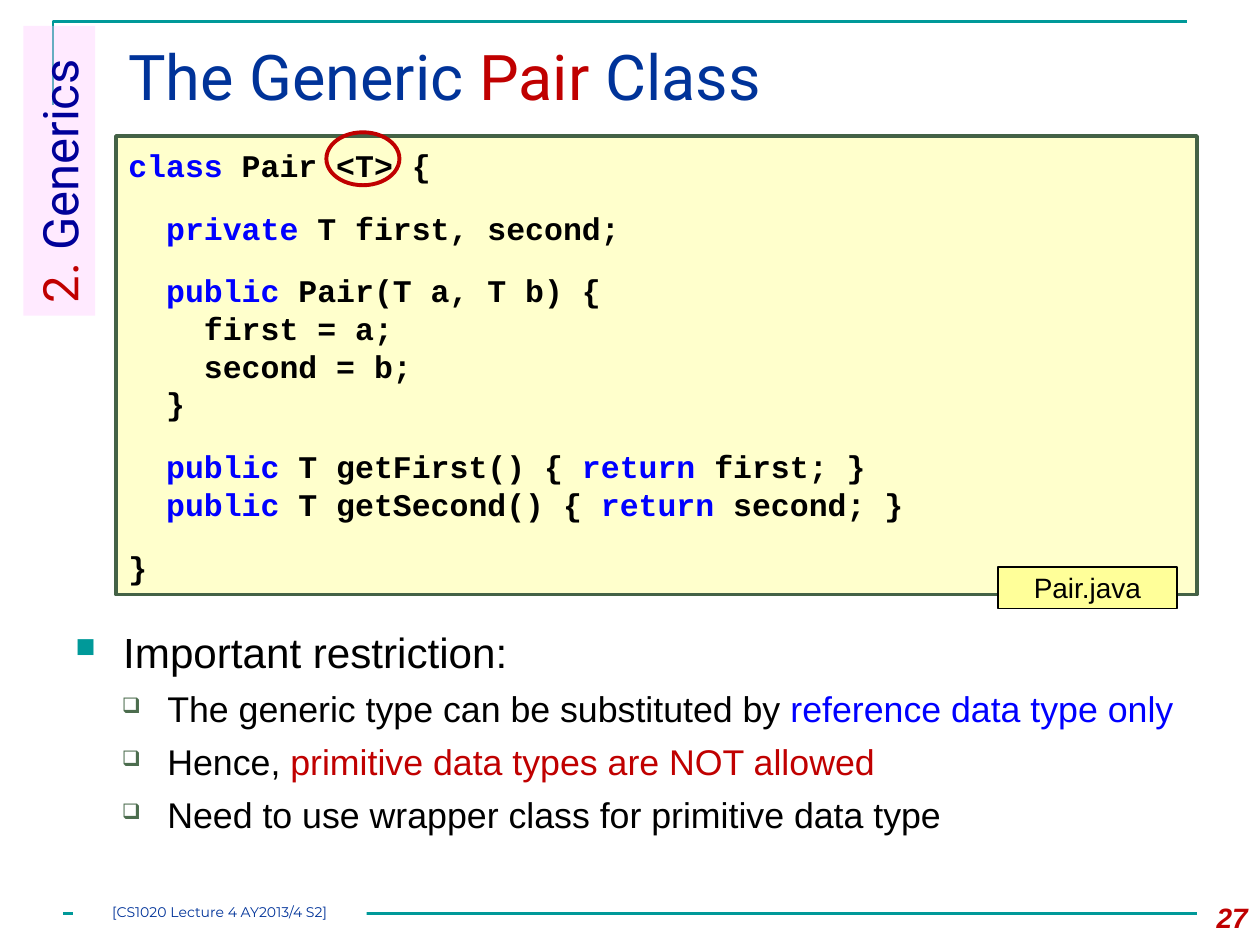
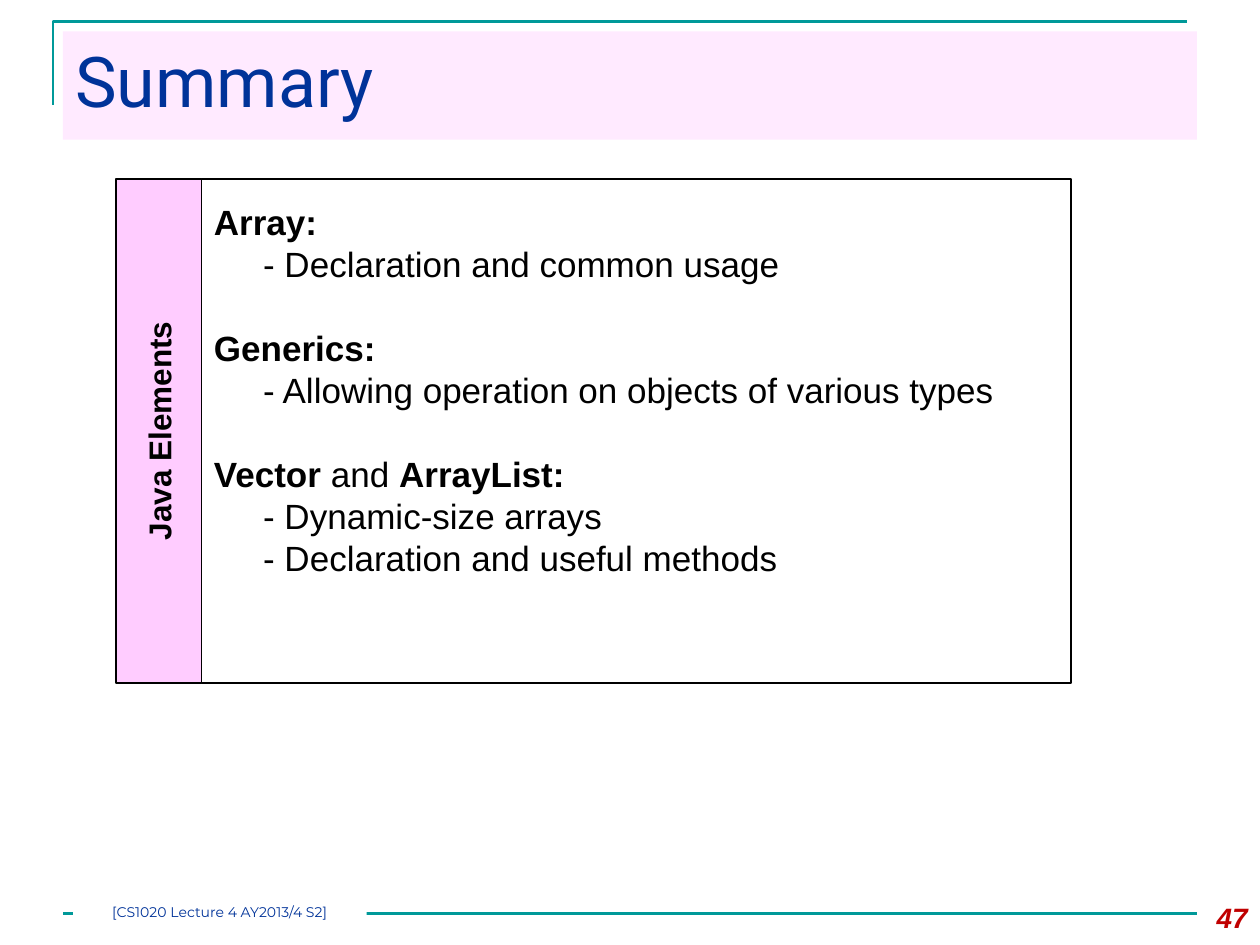
from dataclasses import dataclass
from typing import NamedTuple, Optional

from lxml.etree import SubElement
from pptx import Presentation
from pptx.dml.color import RGBColor
from pptx.enum.shapes import MSO_CONNECTOR, MSO_SHAPE
from pptx.enum.text import MSO_ANCHOR, PP_ALIGN
from pptx.oxml.ns import qn
from pptx.util import Inches, Pt


@dataclass(frozen=True)
class Theme:
    teal: str = "009999"
    navy: str = "003399"
    red: str = "C00000"
    blue: str = "0000FF"
    section_blue: str = "000099"
    black: str = "000000"
    white: str = "FFFFFF"
    pink: str = "FFCCFF"
    code_fill: str = "FFFFCC"
    code_edge: str = "446246"
    label_fill: str = "FFFF99"
    sub_bullet: str = "4C6D4E"
    heading_font: str = "Roboto"
    body_font: str = "Arial"
    code_font: str = "Courier New"
    footer_font: str = "Montserrat"
    footer_size: float = 8
    small_size: float = 16
    code_size: float = 18
    summary_size: float = 20
    point_size: float = 24.1
    sub_point_size: float = 20.4
    section_size: float = 28
    title_size: float = 36
    summary_title_size: float = 40


THEME = Theme()


class Box(NamedTuple):
    left: float
    top: float
    width: float
    height: float


class Bullet(NamedTuple):
    symbol: str
    color: str
    percent: int
    hanging: float


@dataclass(frozen=True)
class Line:
    """A paragraph; parts between asterisks take the accent format."""
    text: str
    accent: Optional[str] = None
    size: Optional[float] = None
    before: float = 0
    height: Optional[float] = None
    indent: float = 0
    bullet: Optional[Bullet] = None


def rgb(color: str) -> RGBColor:
    return RGBColor.from_string(color)


def add_box(page, box: Box, shape_type=MSO_SHAPE.RECTANGLE, fill: Optional[str] = None,
            edge: Optional[str] = None, edge_width: float = 1,
            opacity: Optional[int] = None):
    shape = page.shapes.add_shape(shape_type, *map(Inches, box))
    shape.shadow.inherit = False
    if fill:
        shape.fill.solid()
        shape.fill.fore_color.rgb = rgb(fill)
        if opacity is not None:
            color = shape.fill._xPr.find(qn("a:solidFill"))[0]
            SubElement(color, qn("a:alpha"), val=str(opacity * 1000))
    else:
        shape.fill.background()
    if edge:
        shape.line.color.rgb = rgb(edge)
        shape.line.width = Pt(edge_width)
    else:
        shape.line.fill.background()
    return shape


def set_indent(para, line: Line) -> None:
    properties = para._p.get_or_add_pPr()
    properties.set("marL", str(Inches(line.indent)))
    if line.bullet:
        bullet = line.bullet
        properties.set("indent", str(-Inches(bullet.hanging)))
        color = SubElement(properties, qn("a:buClr"))
        SubElement(color, qn("a:srgbClr"), val=bullet.color)
        SubElement(properties, qn("a:buSzPct"), val=str(bullet.percent * 1000))
        SubElement(properties, qn("a:buChar"), char=bullet.symbol)


def write(shape, lines: list[Line], *, font: str = THEME.body_font,
          size: float = THEME.small_size, color: str = THEME.black,
          bold: bool = False, accent_bold: bool = False, italic: bool = False,
          align=PP_ALIGN.LEFT, anchor=MSO_ANCHOR.TOP, wrap: bool = True,
          margins: tuple = (0.1, 0.05, 0.1, 0.05), vertical: bool = False) -> None:
    frame = shape.text_frame
    frame.word_wrap = wrap
    frame.vertical_anchor = anchor
    (frame.margin_left, frame.margin_top,
     frame.margin_right, frame.margin_bottom) = map(Inches, margins)
    if vertical:
        frame._txBody.bodyPr.set("vert", "vert270")
    for index, line in enumerate(lines):
        para = frame.add_paragraph() if index else frame.paragraphs[0]
        set_indent(para, line)
        para.alignment = align
        para.space_before = Pt(line.before)
        if line.height:
            para.line_spacing = Pt(line.height)
        for part, text in enumerate(line.text.split("*")):
            if not text:
                continue
            accented = part % 2 == 1
            span = para.add_run()
            span.text = text
            span.font.name = font
            span.font.size = Pt(line.size or size)
            span.font.bold = bold or (accented and accent_bold)
            span.font.italic = italic
            span.font.color.rgb = rgb(line.accent if accented and line.accent else color)


def add_text(page, box: Box, lines: list[Line], **text_format) -> None:
    write(page.shapes.add_textbox(*map(Inches, box)), lines, **text_format)


def add_page(deck, number: int):
    """Add a blank page with the shared rules, footer and page number."""
    page = deck.slides.add_slide(deck.slide_layouts[6])
    # Corner rule
    left, top = Inches(0.42), Inches(0.17)
    builder = page.shapes.build_freeform(left, Inches(0.83))
    builder.add_line_segments([(left, top), (Inches(9.42), top)], close=False)
    corner = builder.convert_to_shape()
    corner.shadow.inherit = False
    corner.fill.background()
    # Footer rule
    rule = page.shapes.add_connector(MSO_CONNECTOR.STRAIGHT, Inches(0.5), Inches(7.25),
                                     Inches(9.5), Inches(7.25))
    SubElement(rule._element.spPr, qn("a:effectLst"))
    for stroke in (corner.line, rule.line):
        stroke.color.rgb = rgb(THEME.teal)
        stroke.width = Pt(1.5)
    # Footer and page number
    footer = add_box(page, Box(0.58, 7.17, 2.33, 0.17), fill=THEME.white)
    write(footer, [Line("[CS1020 Lecture 4 AY2013/4 S2]")], font=THEME.footer_font,
          size=THEME.footer_size, color=THEME.navy, align=PP_ALIGN.CENTER,
          margins=(0, 0, 0, 0))
    add_text(page, Box(9.33, 7.1, 0.67, 0.4), [Line(str(number))], color=THEME.red,
             bold=True, italic=True, align=PP_ALIGN.RIGHT)
    return page


def code_line(text: str, before: float = 0) -> Line:
    return Line(text, accent=THEME.blue, before=before, height=21.5)


def build_pair_page(deck) -> None:
    page = add_page(deck, 27)
    add_text(page, Box(0.92, 0.25, 8.83, 0.86),
             [Line("The Generic *Pair* Class", accent=THEME.red)],
             font=THEME.heading_font, size=THEME.title_size, color=THEME.navy)

    # Restriction points
    square = Bullet("■", THEME.teal, 65, 0.38)
    hollow = Bullet("❑", THEME.sub_bullet, 60, 0.36)
    sub_points = [
        ("The generic type can be substituted by *reference data type only*", THEME.blue),
        ("Hence, *primitive data types are NOT allowed*", THEME.red),
        ("Need to use wrapper class for primitive data type", None),
    ]
    points = [Line("Important restriction:", size=THEME.point_size, height=28.8,
                   indent=0.38, bullet=square)]
    points += [Line(text, accent=accent, before=6, height=24.3, indent=0.73, bullet=hollow)
               for text, accent in sub_points]
    add_text(page, Box(0.5, 4.92, 9, 1.83), points, size=THEME.sub_point_size)

    # Code listing with its file label
    gap = 14.4
    code = [
        code_line("*class* Pair <T> {"),
        code_line("  *private* T first, second;", gap),
        code_line("  *public* Pair(T a, T b) {", gap),
        code_line("    first = a;"),
        code_line("    second = b;"),
        code_line("  }"),
        code_line("  *public* T getFirst() { *return* first; }", gap),
        code_line("  *public* T getSecond() { *return* second; }"),
        code_line("}", gap),
    ]
    listing = add_box(page, Box(0.92, 1.08, 8.58, 3.64), fill=THEME.code_fill,
                      edge=THEME.code_edge, edge_width=2)
    write(listing, code, font=THEME.code_font, size=THEME.code_size, bold=True,
          margins=(0.1, 0.08, 0.1, 0.05))
    label = add_box(page, Box(7.92, 4.5, 1.42, 0.33), fill=THEME.label_fill,
                    edge=THEME.black)
    write(label, [Line("Pair.java")], align=PP_ALIGN.CENTER, anchor=MSO_ANCHOR.MIDDLE)

    # Ring around the type parameter
    add_box(page, Box(2.59, 1.05, 0.58, 0.42), MSO_SHAPE.OVAL, edge=THEME.red,
            edge_width=2.25)

    # Section tab
    tab = add_box(page, Box(-0.68, 1.07, 2.3, 0.57), fill=THEME.pink, opacity=40)
    tab.rotation = 270
    write(tab, [Line("*2.* Generics", accent=THEME.red)], font=THEME.heading_font,
          size=THEME.section_size, color=THEME.section_blue)


def build_summary_page(deck) -> None:
    page = add_page(deck, 47)
    band = add_box(page, Box(0.5, 0.25, 9, 0.86), fill=THEME.pink, opacity=40)
    write(band, [Line("Summary")], font=THEME.heading_font,
          size=THEME.summary_title_size, color=THEME.navy)

    # Topic panel
    side = add_box(page, Box(0.92, 1.42, 0.68, 4), fill=THEME.pink, edge=THEME.black)
    write(side, [Line("Java Elements")], size=THEME.code_size, bold=True,
          align=PP_ALIGN.CENTER, anchor=MSO_ANCHOR.MIDDLE, vertical=True)
    topics = {
        "*Array:*": ["Declaration and common usage"],
        "*Generics:*": ["Allowing operation on objects of various types"],
        "*Vector* and *ArrayList:*": ["Dynamic-size arrays",
                                      "Declaration and useful methods"],
    }
    pitch = 24
    lines = []
    for heading, details in topics.items():
        lines.append(Line(heading, before=pitch if lines else 0, height=pitch))
        lines += [Line(f"- {detail}", height=pitch, indent=0.39) for detail in details]
    panel = add_box(page, Box(1.6, 1.42, 6.9, 4), edge=THEME.black)
    write(panel, lines, size=THEME.summary_size, accent_bold=True,
          margins=(0.1, 0.17, 0.1, 0.05))


def main() -> None:
    deck = Presentation()
    deck.slide_width, deck.slide_height = Inches(10), Inches(7.5)
    build_pair_page(deck)
    build_summary_page(deck)
    deck.save("out.pptx")


if __name__ == "__main__":
    main()
